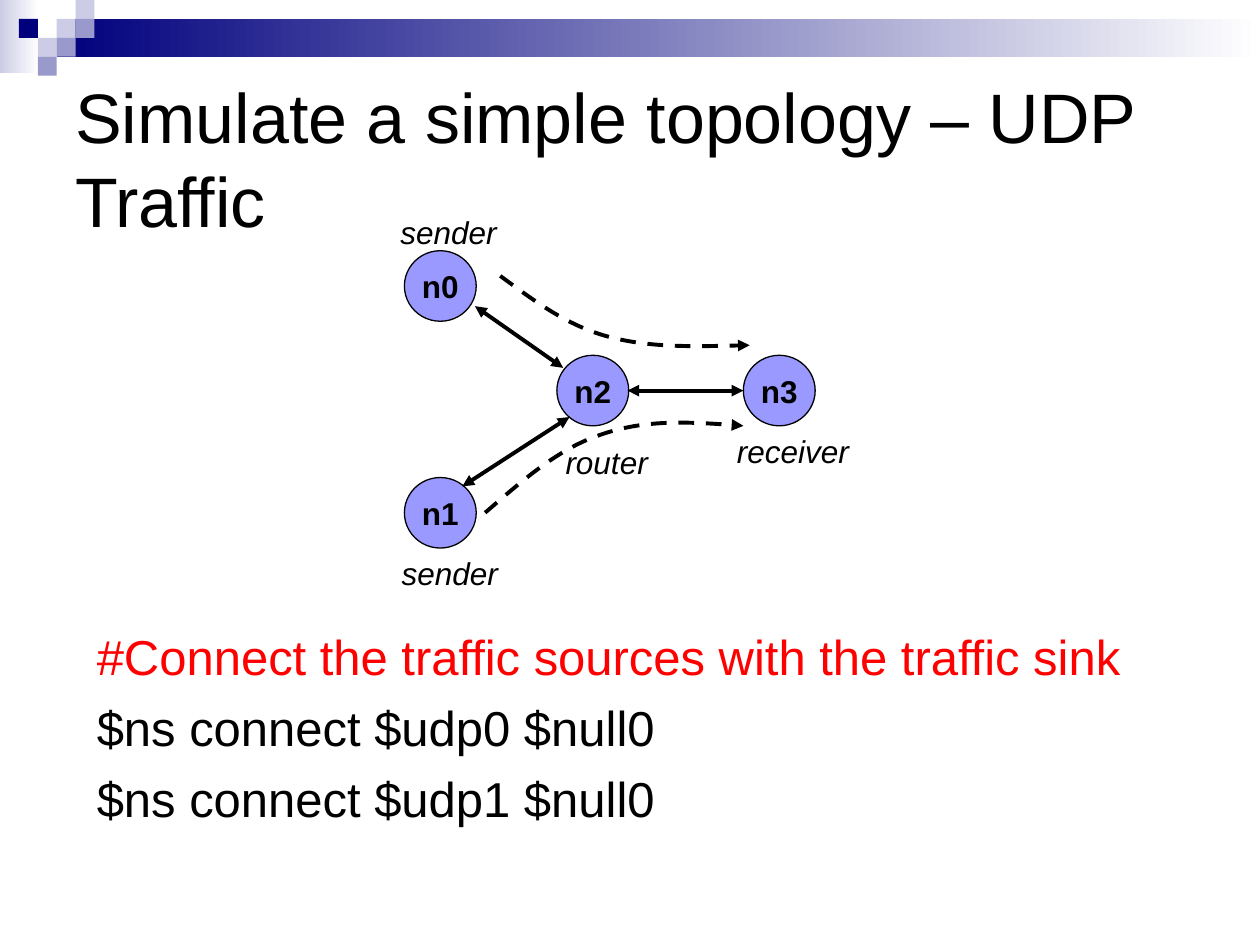
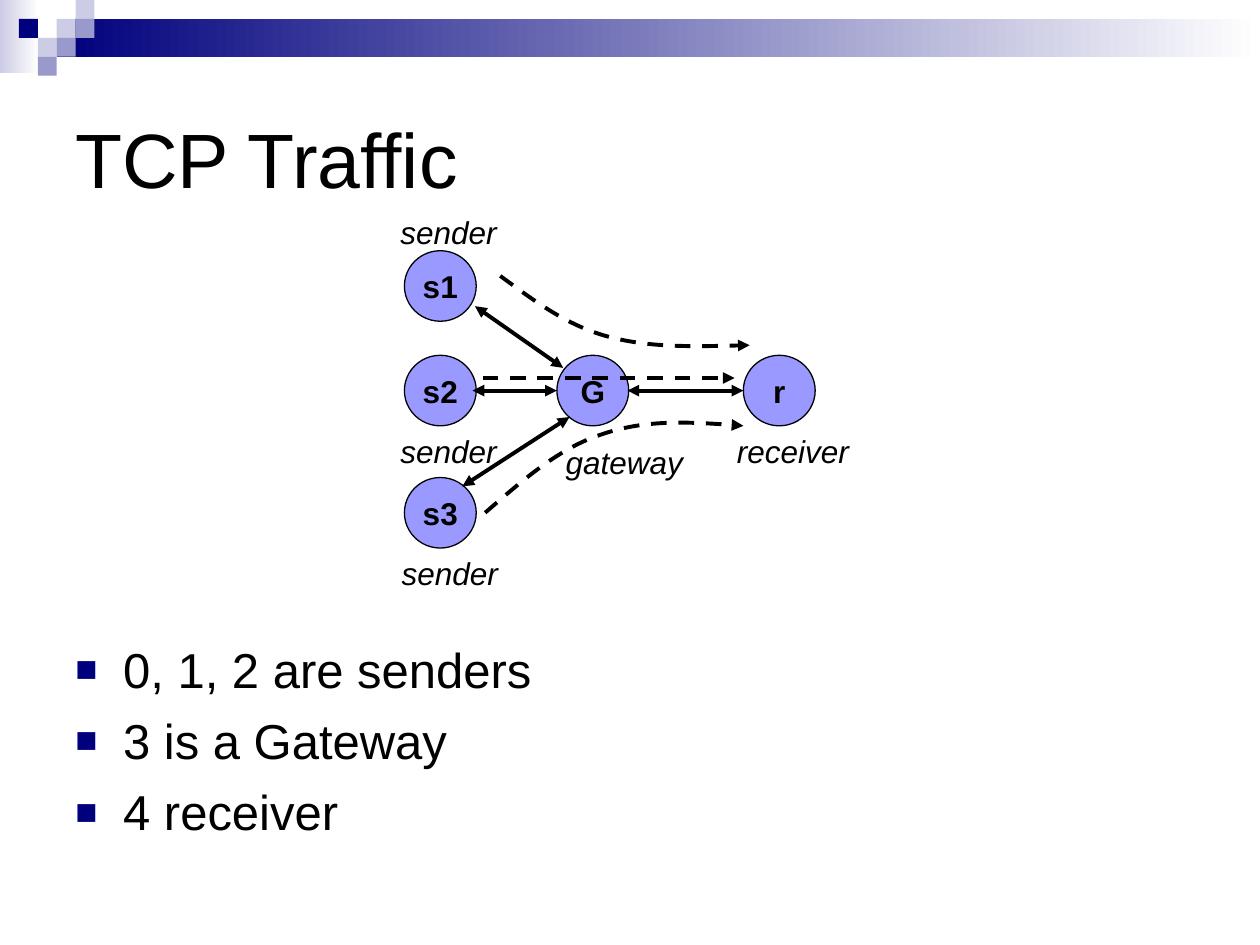
from dataclasses import dataclass

import pptx
import pptx.dml.color
import pptx.enum.dml
import pptx.enum.shapes
import pptx.enum.text
import pptx.oxml
import pptx.oxml.ns
import pptx.util
from lxml import etree

RGBColor = pptx.dml.color.RGBColor
Shapes = pptx.enum.shapes.MSO_SHAPE
Align = pptx.enum.text.PP_ALIGN
Anchor = pptx.enum.text.MSO_ANCHOR
qn = pptx.oxml.ns.qn
Point = tuple[float, float]

BLACK = RGBColor(0x00, 0x00, 0x00)
WHITE = RGBColor(0xFF, 0xFF, 0xFF)
RED = RGBColor(0xFF, 0x00, 0x00)
NAVY = RGBColor(0x00, 0x00, 0x7D)
PALE = RGBColor(0xCC, 0xCC, 0xE6)
MAUVE = RGBColor(0x99, 0x99, 0xCC)
NODE_BLUE = RGBColor(0x99, 0x99, 0xFF)

FONT = "Arial"
LINE_HEIGHT = 1.2
SLIDE_WIDTH, SLIDE_HEIGHT = pptx.util.Inches(10), pptx.util.Inches(7.5)
UNIT = SLIDE_WIDTH // 10  # the page is a grid of 10 columns by 7.5 rows
TILE = 0.15  # side of a header square, in columns

# Header squares: column and row on the tile grid, colour
HEADER_TILES = [
    (3, 1, PALE), (4, 0, PALE), (4, 1, MAUVE), (2, 2, PALE),
    (1, 1, NAVY), (3, 2, MAUVE), (2, 3, MAUVE),
]

NODE_WIDTH, NODE_HEIGHT = 0.57, 0.56
SENDER_X, ROUTER_X, RECEIVER_X = 3.21, 4.42, 5.9
TOP_Y, MIDDLE_Y, BOTTOM_Y = 1.99, 2.82, 3.79
MIDDLE_LINK_Y = 3.1


@dataclass(frozen=True)
class Node:
    name: str
    x: float
    y: float


@dataclass(frozen=True)
class Label:
    text: str
    x: float
    y: float
    width: float = 1.0


@dataclass(frozen=True)
class Link:
    start: Point
    end: Point
    dashed: bool = False


@dataclass(frozen=True)
class Line:
    text: str
    color: RGBColor = BLACK


@dataclass(frozen=True)
class Topic:
    title: str
    title_size: int
    nodes: list[Node]
    labels: list[Label]
    links: list[Link]
    body: list[Line]
    body_x: float
    body_y: float
    bulleted: bool


SHARED_LINKS = [
    Link((3.77, 2.43), (4.47, 2.92)),
    Link((3.67, 3.86), (4.52, 3.31)),
    Link((4.98, MIDDLE_LINK_Y), (RECEIVER_X, MIDDLE_LINK_Y)),
]
SHARED_LABELS = [
    Label("sender", 3.08, 1.64),
    Label("sender", 3.09, 4.35),
    Label("receiver", 5.75, 3.38, 1.12),
]
# Each flow is a start point followed by two Bezier segments of three points
FLOWS: list[list[Point]] = [
    [(3.85, 4.07), (4.14, 3.82), (4.43, 3.56), (4.77, 3.45),
     (5.11, 3.33), (5.51, 3.35), (5.9, 3.38)],
    [(3.97, 2.19), (4.23, 2.38), (4.49, 2.58), (4.82, 2.67),
     (5.15, 2.76), (5.55, 2.75), (5.95, 2.74)],
]


def corner_nodes(top: str, bottom: str, router: str, receiver: str) -> list[Node]:
    return [
        Node(top, SENDER_X, TOP_Y),
        Node(bottom, SENDER_X, BOTTOM_Y),
        Node(router, ROUTER_X, MIDDLE_Y),
        Node(receiver, RECEIVER_X, MIDDLE_Y),
    ]


TOPICS = [
    Topic(
        title="Simulate a simple topology – UDP Traffic",
        title_size=40,
        nodes=corner_nodes("n0", "n1", "n2", "n3"),
        labels=SHARED_LABELS + [Label("router", 4.39, 3.47)],
        links=SHARED_LINKS,
        body=[
            Line("#Connect the traffic sources with the traffic sink", RED),
            Line("$ns connect $udp0 $null0"),
            Line("$ns connect $udp1 $null0"),
        ],
        body_x=0.67, body_y=4.92, bulleted=False,
    ),
    Topic(
        title="TCP Traffic",
        title_size=44,
        nodes=corner_nodes("s1", "s3", "G", "r") + [Node("s2", SENDER_X, MIDDLE_Y)],
        labels=SHARED_LABELS + [
            Label("gateway", 4.39, 3.47, 1.16),
            Label("sender", 3.08, 3.38),
        ],
        links=SHARED_LINKS + [
            Link((3.75, MIDDLE_LINK_Y), (ROUTER_X, MIDDLE_LINK_Y)),
            Link((3.83, 3), (5.83, 3), dashed=True),
        ],
        body=[Line("0, 1, 2 are senders"), Line("3 is a Gateway"), Line("4 receiver")],
        body_x=0.5, body_y=5.03, bulleted=True,
    ),
]


def grid(*lengths: float) -> list[int]:
    """Turn grid lengths into slide lengths."""
    return [round(length * UNIT) for length in lengths]


def style_paragraph(para, size: int, color=BLACK, bold=False, italic=False) -> None:
    para.line_spacing = pptx.util.Pt(size * LINE_HEIGHT)
    font = para.font
    font.name, font.size = FONT, pptx.util.Pt(size)
    font.bold, font.italic = bold, italic
    font.color.rgb = color


def add_box(page, x: float, y: float, width: float, height: float, wrap=True):
    box = page.shapes.add_textbox(*grid(x, y, width, height))
    box.text_frame.word_wrap = wrap
    return box.text_frame


def add_rectangle(page, x: float, y: float, width: float, height: float,
                  color: RGBColor, fade=False) -> None:
    """Draw a borderless rectangle, plain or fading from its colour to white."""
    shape = page.shapes.add_shape(Shapes.RECTANGLE, *grid(x, y, width, height))
    shape.shadow.inherit = False
    shape.line.fill.background()
    if fade:
        shape.fill.gradient()
        shape.fill.gradient_angle = 0
        for stop, stop_color in zip(shape.fill.gradient_stops, (color, WHITE)):
            stop.color.rgb = stop_color
    else:
        shape.fill.solid()
        shape.fill.fore_color.rgb = color


def add_header(page) -> None:
    add_rectangle(page, 0, 0, 0.31, 0.58, PALE, fade=True)
    add_rectangle(page, 3 * TILE, TILE, 10 - 3 * TILE, 2 * TILE, NAVY, fade=True)
    for column, row, color in HEADER_TILES:
        add_rectangle(page, column * TILE, row * TILE, TILE, TILE, color)


def add_title(page, title: str, size: int) -> None:
    frame = add_box(page, 0.5, 0.5, 9, 1.5)
    frame.vertical_anchor = Anchor.MIDDLE
    frame.text = title
    style_paragraph(frame.paragraphs[0], size)


def add_bullet(para) -> None:
    """Give the paragraph a hanging navy square."""
    properties = para._p.get_or_add_pPr()
    properties.set("marL", str(grid(0.38)[0]))
    properties.set("indent", str(-grid(0.38)[0]))
    color = etree.SubElement(properties, qn("a:buClr"))
    etree.SubElement(color, qn("a:srgbClr"), val=str(NAVY))
    etree.SubElement(properties, qn("a:buSzPct"), val="75000")
    etree.SubElement(properties, qn("a:buFont"), typeface=FONT)
    etree.SubElement(properties, qn("a:buChar"), char="■")


def add_body(page, topic: Topic) -> None:
    frame = add_box(page, topic.body_x, topic.body_y, 9, 1.9)
    for index, line in enumerate(topic.body):
        para = frame.add_paragraph() if index else frame.paragraphs[0]
        para.text = line.text
        if topic.bulleted:
            add_bullet(para)
        if index:
            para.space_before = pptx.util.Pt(7)
        style_paragraph(para, 28, line.color)


def add_node(page, node: Node) -> None:
    place = grid(node.x, node.y, NODE_WIDTH, NODE_HEIGHT)
    shape = page.shapes.add_shape(Shapes.OVAL, *place)
    shape.shadow.inherit = False
    shape.fill.solid()
    shape.fill.fore_color.rgb = NODE_BLUE
    shape.line.color.rgb = BLACK
    shape.line.width = pptx.util.Pt(0.75)
    frame = shape.text_frame
    frame.word_wrap = False
    frame.vertical_anchor = Anchor.MIDDLE
    frame.text = node.name
    para = frame.paragraphs[0]
    para.alignment = Align.CENTER
    style_paragraph(para, 18, bold=True)


def add_label(page, label: Label) -> None:
    frame = add_box(page, label.x, label.y, label.width, 0.4)
    frame.text = label.text
    style_paragraph(frame.paragraphs[0], 18, italic=True)


def style_arrow(shape, dashed: bool) -> None:
    """Dashed arrows point one way, solid ones both ways."""
    shape.line.color.rgb = BLACK
    shape.line.width = pptx.util.Pt(2.25)
    if dashed:
        shape.line.dash_style = pptx.enum.dml.MSO_LINE.DASH
    outline = shape._element.spPr.find(qn("a:ln"))
    for end in ("a:tailEnd",) if dashed else ("a:headEnd", "a:tailEnd"):
        etree.SubElement(outline, qn(end), type="triangle")


def add_link(page, link: Link) -> None:
    straight = pptx.enum.shapes.MSO_CONNECTOR.STRAIGHT
    connector = page.shapes.add_connector(straight, *grid(*link.start, *link.end))
    style_arrow(connector, link.dashed)
    etree.SubElement(connector._element.spPr, qn("a:effectLst"))


def add_flow(page, points: list[Point]) -> None:
    """Draw a dashed curve, turning each three line points into a Bezier segment."""
    corners = [grid(*point) for point in points]
    builder = page.shapes.build_freeform(*corners[0])
    builder.add_line_segments(corners[1:], close=False)
    shape = builder.convert_to_shape()
    shape.shadow.inherit = False
    shape.fill.background()
    style_arrow(shape, dashed=True)
    outline = next(shape._element.iter(qn("a:pathLst")))[0]
    steps = outline.findall(qn("a:lnTo"))
    for first in range(0, len(steps), 3):
        curve = etree.SubElement(outline, qn("a:cubicBezTo"))
        for step in steps[first:first + 3]:
            curve.append(step[0])
            outline.remove(step)


def add_topic(deck, topic: Topic) -> None:
    page = deck.slides.add_slide(deck.slide_layouts[6])
    add_header(page)
    add_title(page, topic.title, topic.title_size)
    add_body(page, topic)
    for node in topic.nodes:
        add_node(page, node)
    for link in topic.links:
        add_link(page, link)
    for flow in FLOWS:
        add_flow(page, flow)
    for label in topic.labels:
        add_label(page, label)


def main() -> None:
    deck = pptx.Presentation()
    deck.slide_width, deck.slide_height = SLIDE_WIDTH, SLIDE_HEIGHT
    for topic in TOPICS:
        add_topic(deck, topic)
    deck.save("out.pptx")


if __name__ == "__main__":
    main()
